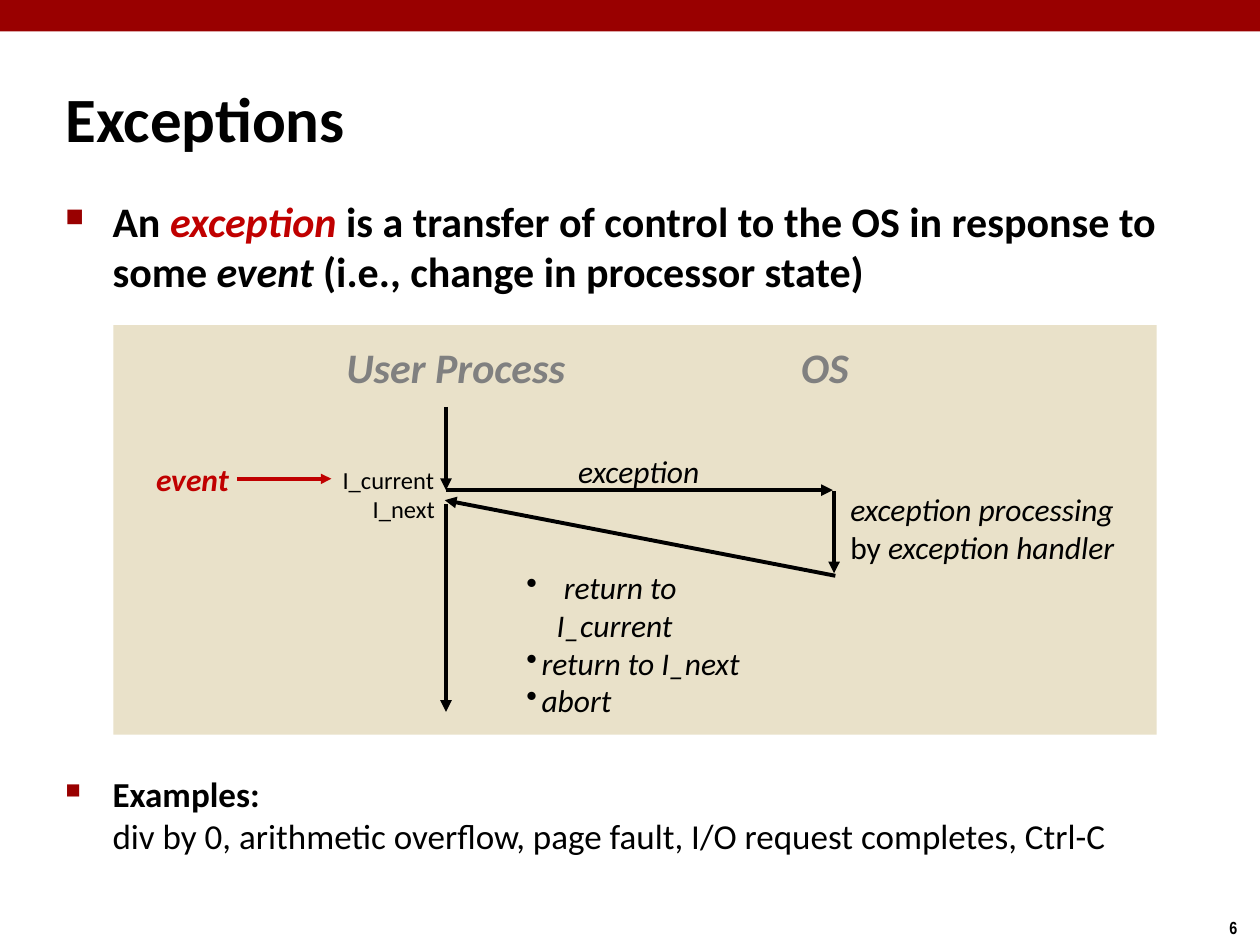
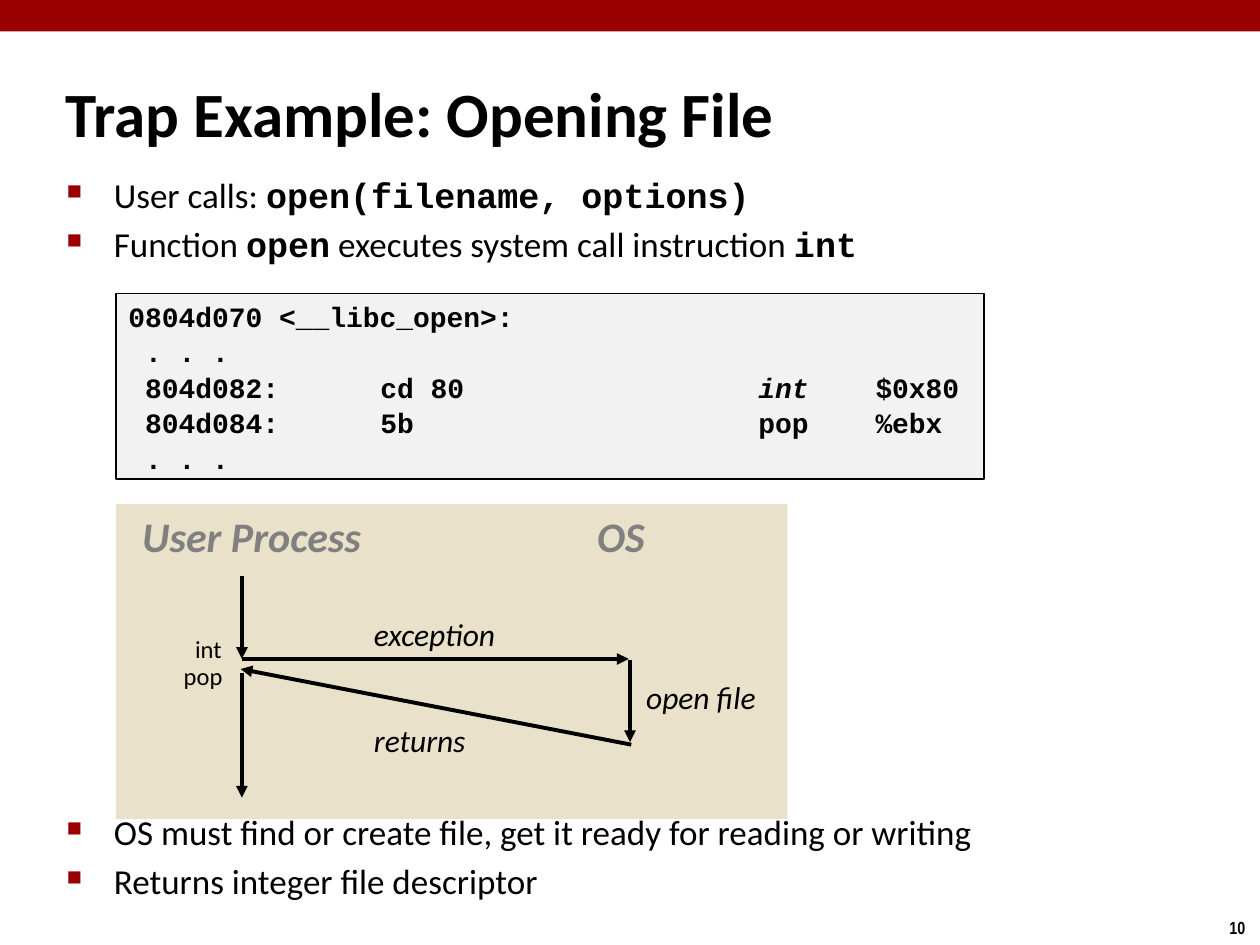
"""Build two slides on exceptions and system calls."""
from dataclasses import dataclass, replace
from typing import NamedTuple

from lxml.etree import SubElement
from pptx import Presentation
from pptx.dml.color import RGBColor
from pptx.enum.shapes import MSO_CONNECTOR as Connector, MSO_SHAPE as Preset
from pptx.enum.text import MSO_ANCHOR as Anchor, MSO_AUTO_SIZE as AutoSize, PP_ALIGN as Align
from pptx.oxml.ns import qn
from pptx.util import Inches, Pt

WIDTH, HEIGHT = Inches(10), Inches(7.5)
COLUMNS, ROWS = 100, 75
TITLE_ONLY = 5
COLORS = {
    "band": "990000",
    "panel": "E9E1C9",
    "code": "F2F2F2",
    "text": "000000",
    "heading": "808080",
    "accent": "C00000",
}


class Area(NamedTuple):
    """A rectangle in grid columns and rows."""
    left: float
    top: float
    width: float
    height: float


@dataclass(frozen=True)
class Style:
    """The look of a run of text."""
    size: float
    color: str = "text"
    bold: bool = False
    italic: bool = False
    font: str = "Calibri"


@dataclass(frozen=True)
class Bullet:
    """A bullet mark with its hanging indent in columns."""
    mark: str
    indent: float
    color: str = "text"
    percent: int = 100


@dataclass(frozen=True)
class Line:
    """A paragraph made of (text, style) pieces."""
    pieces: tuple
    bullet: Bullet | None = None
    space_before: float = 0


@dataclass(frozen=True)
class Label:
    """A text box with its lines."""
    area: Area
    lines: tuple
    wrap: bool = False


class Arrow(NamedTuple):
    """An arrow between two grid points."""
    x1: float
    y1: float
    x2: float
    y2: float
    color: str = "text"
    weight: float = 2.25


TITLE = Style(36, bold=True)
LEAD = Style(24, bold=True)
BODY = Style(20)
BODY_CODE = Style(20, bold=True, font="Courier New")
CODE = Style(16, bold=True, font="Courier New")
HEADING = Style(24, "heading", bold=True, italic=True)
NOTE = Style(18, italic=True)
EVENT = Style(18, "accent", bold=True, italic=True)
INSTRUCTION = Style(14)
NUMBER = Style(10, bold=True, font="Arial Narrow")
SQUARE = Bullet("■", 3.75, "band", 60)
CODE_TABS = (20, 50, 59.3)


def across(columns: float) -> int:
    """Convert grid columns to a length."""
    return round(WIDTH * columns / COLUMNS)


def down(rows: float) -> int:
    """Convert grid rows to a length."""
    return round(HEIGHT * rows / ROWS)


def place(area: Area) -> tuple:
    """Convert a grid area to left, top, width and height."""
    return across(area.left), down(area.top), across(area.width), down(area.height)


def rgb(name: str) -> RGBColor:
    """Look up a named colour."""
    return RGBColor.from_string(COLORS[name])


def plain(text: str, style: Style) -> Line:
    """Make a line in a single style."""
    return Line(((text, style),))


def label(left: float, top: float, width: float, height: float, text: str, style: Style) -> Label:
    """Make a one-line label."""
    return Label(Area(left, top, width, height), (plain(text, style),))


def format_run(run, style: Style) -> None:
    """Apply a style to a run."""
    run.font.name = style.font
    run.font.size = Pt(style.size)
    run.font.bold = style.bold
    run.font.italic = style.italic
    run.font.color.rgb = rgb(style.color)


def add_bullet(paragraph, bullet: Bullet) -> None:
    """Give a paragraph a bullet with a hanging indent."""
    properties = paragraph._p.get_or_add_pPr()
    properties.set("marL", str(across(bullet.indent)))
    properties.set("indent", str(-across(bullet.indent)))
    color = SubElement(properties, qn("a:buClr"))
    SubElement(color, qn("a:srgbClr"), val=COLORS[bullet.color])
    SubElement(properties, qn("a:buSzPct"), val=str(bullet.percent * 1000))
    SubElement(properties, qn("a:buChar"), char=bullet.mark)


def add_tabs(paragraph, stops: tuple) -> None:
    """Give a paragraph left tab stops."""
    tabs = SubElement(paragraph._p.get_or_add_pPr(), qn("a:tabLst"))
    for stop in stops:
        SubElement(tabs, qn("a:tab"), pos=str(across(stop)), algn="l")


def write(text_frame, lines: tuple) -> None:
    """Fill a text frame with styled lines."""
    text_frame.text = "\n".join("" for _ in lines)
    for paragraph, line in zip(text_frame.paragraphs, lines):
        if line.bullet:
            add_bullet(paragraph, line.bullet)
        paragraph.alignment = Align.LEFT
        if line.space_before:
            paragraph.space_before = Pt(line.space_before)
        for text, style in line.pieces:
            if text == "\v":
                paragraph.add_line_break()
                continue
            run = paragraph.add_run()
            run.text = text
            format_run(run, style)


def add_label(slide, item: Label) -> None:
    """Draw a text box."""
    text_frame = slide.shapes.add_textbox(*place(item.area)).text_frame
    text_frame.word_wrap = item.wrap
    write(text_frame, item.lines)


def add_block(slide, area: Area, fill: str):
    """Draw a flat filled rectangle without an outline."""
    shape = slide.shapes.add_shape(Preset.RECTANGLE, *place(area))
    shape.shadow.inherit = False
    shape.fill.solid()
    shape.fill.fore_color.rgb = rgb(fill)
    shape.line.fill.background()
    return shape


def add_code(slide, area: Area, lines: tuple) -> None:
    """Draw a framed code listing."""
    shape = add_block(slide, area, "code")
    shape.line.color.rgb = rgb("text")
    shape.line.width = Pt(1)
    shape.text_frame.vertical_anchor = Anchor.MIDDLE
    write(shape.text_frame, lines)
    for paragraph in shape.text_frame.paragraphs:
        add_tabs(paragraph, CODE_TABS)
        paragraph.line_spacing = 1.06


def add_arrow(slide, arrow: Arrow) -> None:
    """Draw a straight arrow."""
    connector = slide.shapes.add_connector(
        Connector.STRAIGHT, across(arrow.x1), down(arrow.y1), across(arrow.x2), down(arrow.y2))
    connector.line.color.rgb = rgb(arrow.color)
    connector.line.width = Pt(arrow.weight)
    properties = connector._element.spPr
    SubElement(properties.find(qn("a:ln")), qn("a:tailEnd"), type="triangle")
    SubElement(properties, qn("a:effectLst"))


def add_control_flow(slide, panel: Area, x: float, y: float, end: float, labels: tuple) -> None:
    """Draw the switch from user process to OS and back, starting at x, y."""
    add_block(slide, panel, "panel")
    add_label(slide, label(x - 8.9, y - 5.7, 19.7, 5, "User Process", HEADING))
    add_label(slide, label(x + 27.2, y - 5.7, 5.9, 5, "OS", HEADING))
    for arrow in (
        Arrow(x, y, x, y + 6.6),
        Arrow(x, y + 6.6, x + 30.7, y + 6.6),
        Arrow(x + 30.8, y + 6.7, x + 30.8, y + 13.2),
        Arrow(x + 30.9, y + 13.4, x - 0.1, y + 7.4),
        Arrow(x, y + 7.7, x, end),
    ):
        add_arrow(slide, arrow)
    for item in labels:
        add_label(slide, item)


def add_slide(presentation, title: str, width: float, number: int, anchor: Anchor):
    """Add a slide with band, title and slide number."""
    slide = presentation.slides.add_slide(presentation.slide_layouts[TITLE_ONLY])
    add_block(slide, Area(0, 0, COLUMNS, 2.5), "band")
    shape = slide.shapes.title
    shape.left, shape.top, shape.width, shape.height = place(Area(4.2, 5.8, width, 6.3))
    text_frame = shape.text_frame
    text_frame.word_wrap = True
    text_frame.auto_size = AutoSize.NONE
    text_frame.vertical_anchor = anchor
    write(text_frame, (plain(title, TITLE),))
    add_label(slide, label(96.6, 72.3, 3.4, 2.7, str(number), NUMBER))
    return slide


def build_exceptions(presentation) -> None:
    """Build the slide that defines exceptions."""
    slide = add_slide(presentation, "Exceptions", 36.7, 6, Anchor.TOP)
    definition = Line((
        ("An ", LEAD),
        ("exception", replace(LEAD, color="accent", italic=True)),
        (" is a transfer of control to the OS in response to some ", LEAD),
        ("event", replace(LEAD, italic=True)),
        (" (i.e., change in processor state)", LEAD),
    ), SQUARE)
    examples = Line((
        ("Examples:", replace(BODY, bold=True)),
        ("\v", BODY),
        ("div by 0, arithmetic overflow, page fault, I/O request completes, Ctrl-C", BODY),
    ), SQUARE)
    add_label(slide, Label(Area(4.2, 15, 95, 9.5), (definition,), True))
    add_label(slide, Label(Area(4.2, 60.8, 95, 8), (examples,), True))
    handler = (
        plain("exception processing", NOTE),
        Line((("by ", replace(NOTE, italic=False)), ("exception handler", NOTE))),
    )
    outcomes = (
        Line(((" return to I_current", NOTE),), Bullet("•", 2.4)),
        Line((("return to I_next", NOTE),), Bullet("•", 1.2)),
        Line((("abort", NOTE),), Bullet("•", 1.2)),
    )
    add_control_flow(slide, Area(9, 25.8, 82.8, 32.5), 35.4, 32.3, 56.5, (
        label(44.9, 35.4, 11.7, 4, "exception", NOTE),
        Label(Area(66.5, 38.4, 23.5, 10.1), handler, True),
        Label(Area(40.8, 44.6, 22.4, 13), outcomes, True),
        label(11.4, 36, 8.8, 4, "event", EVENT),
        label(26.2, 36.4, 9.5, 3.4, "I_current", INSTRUCTION),
        label(28.6, 38.7, 7.1, 3.4, "I_next", INSTRUCTION),
    ))
    add_arrow(slide, Arrow(18.8, 38, 26.3, 38, "accent", 2))


def build_trap(presentation) -> None:
    """Build the slide that traces opening a file."""
    slide = add_slide(presentation, "Trap Example: Opening File", 60.5, 10, Anchor.MIDDLE)
    calls = (
        Line((("User calls: ", BODY), ("open(filename, options)", BODY_CODE)), SQUARE),
        Line((("Function ", BODY), ("open", BODY_CODE),
              (" executes system call instruction ", BODY), ("int", BODY_CODE)), SQUARE, 4),
    )
    results = (
        Line((("OS must find or create file, get it ready for reading or writing", BODY),), SQUARE),
        Line((("Returns integer file descriptor", BODY),), SQUARE, 4),
    )
    add_code(slide, Area(9.2, 23.3, 68.9, 14.7), (
        plain("0804d070 <__libc_open>:", CODE),
        plain(" . . .", CODE),
        Line(((" 804d082:\tcd 80\t", CODE), ("int", replace(CODE, italic=True)), ("\t$0x80", CODE))),
        plain(" 804d084:\t5b\tpop\t%ebx", CODE),
        plain(" . . .", CODE),
    ))
    add_control_flow(slide, Area(9.2, 40, 53.3, 25), 19.2, 45.7, 63.3, (
        label(28.7, 48.3, 11.7, 4, "exception", NOTE),
        label(50.3, 53.3, 13.3, 4, "open file", NOTE),
        label(28.7, 56.7, 9.3, 4, "returns", NOTE),
        label(14.5, 49.8, 4.2, 3.4, "int", INSTRUCTION),
        label(13.6, 52, 5.1, 3.4, "pop", INSTRUCTION),
    ))
    add_label(slide, Label(Area(4.3, 13.3, 91.5, 8.5), calls, True))
    add_label(slide, Label(Area(4.3, 63.8, 91.5, 8.5), results, True))


def main() -> None:
    """Build and save the presentation."""
    presentation = Presentation()
    presentation.slide_width, presentation.slide_height = WIDTH, HEIGHT
    build_exceptions(presentation)
    build_trap(presentation)
    presentation.save("out.pptx")


if __name__ == "__main__":
    main()
